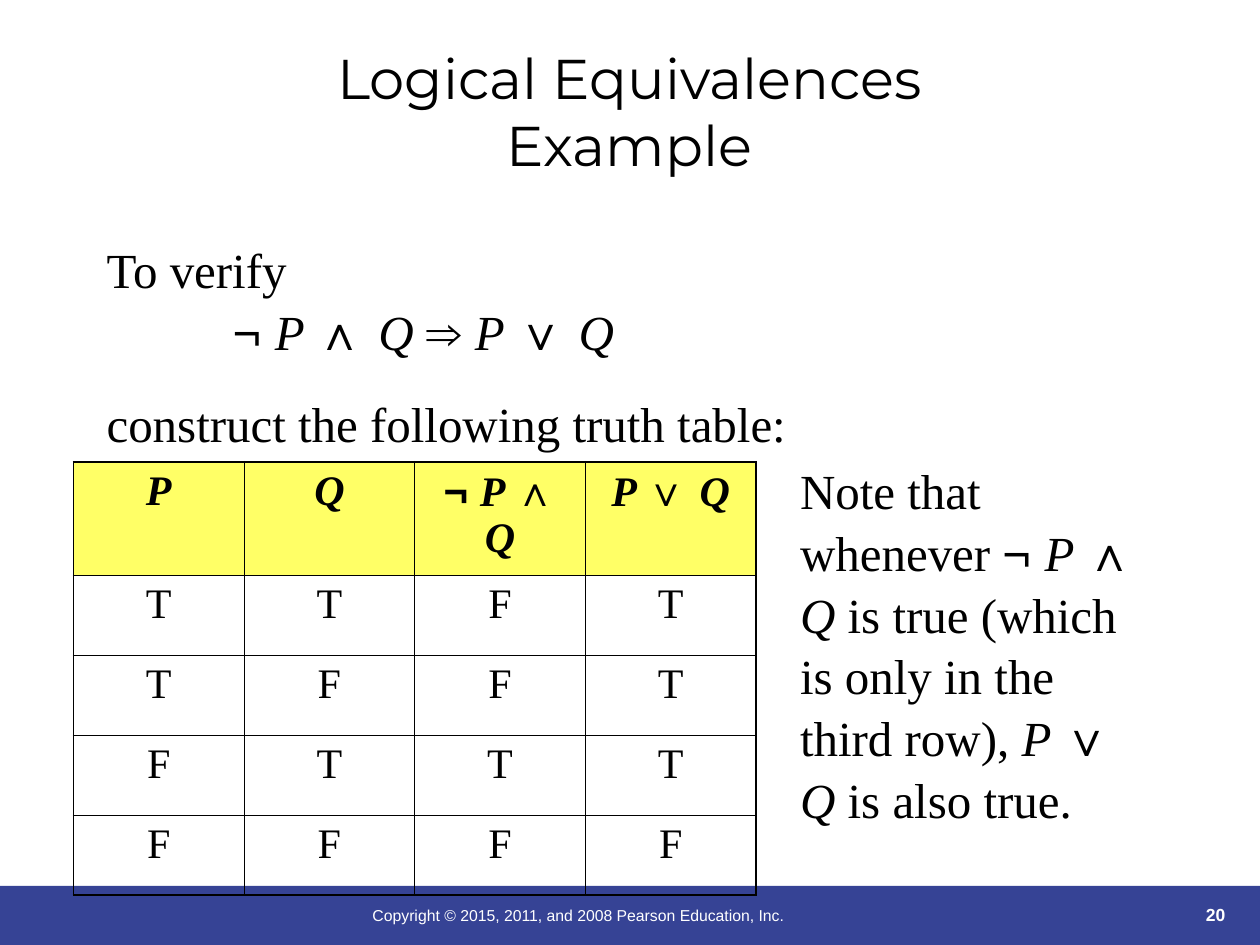
from itertools import product

from lxml.etree import SubElement
from pptx import Presentation
from pptx.dml.color import RGBColor
from pptx.enum.shapes import MSO_SHAPE
from pptx.enum.text import MSO_ANCHOR as ANCHOR, PP_ALIGN as ALIGN
from pptx.oxml.ns import qn
from pptx.util import Cm, Pt

COLORS = {"text": "000000", "band": "364395", "header": "FFFF66", "white": "FFFFFF"}
SERIF, SANS = "Times New Roman", "Arial"


def add_text_box(left, top, width, height, anchor=ANCHOR.TOP):
    box = slide.shapes.add_textbox(Cm(left), Cm(top), Cm(width), Cm(height))
    box.text_frame.word_wrap = True
    box.text_frame.vertical_anchor = anchor
    return box.text_frame


def write_logic(paragraph, text, size, bold=False):
    """Set operators in sans, variables in italic; a space stays with its run."""
    pieces = []
    for char in text:
        kind = "operator" if char in "¬∧∨⇒" else "variable" if char in "PQ" else "plain"
        if pieces and (char == " " or pieces[-1][0] == kind):
            pieces[-1][1] += char
        else:
            pieces.append([kind, char])
    for kind, piece in pieces:
        for number, line in enumerate(piece.split("\n")):
            if number:
                paragraph.add_line_break()
            run = paragraph.add_run()
            run.text = line
            run.font.name = SANS if kind == "operator" else SERIF
            run.font.size = Pt(size)
            run.font.bold = bold
            run.font.italic = kind == "variable"
            run.font.color.rgb = RGBColor.from_string(COLORS["text"])


presentation = Presentation()
presentation.slide_width, presentation.slide_height = Cm(25.4), Cm(19.05)
slide = presentation.slides.add_slide(presentation.slide_layouts[6])

# Footer band
band = slide.shapes.add_shape(MSO_SHAPE.RECTANGLE, 0, Cm(17.86), Cm(25.4), Cm(1.19))
band.shadow.inherit = False
band.fill.solid()
band.fill.fore_color.rgb = RGBColor.from_string(COLORS["band"])
band.line.fill.background()

# Slide number, copyright line and title
page_frame = add_text_box(22.61, 17.5, 2.34, 1.27, ANCHOR.BOTTOM)
copyright_frame = add_text_box(7.26, 18.14, 12.5, 1.27)
title_frame = add_text_box(1.9, 0.64, 21.59, 3.18, ANCHOR.MIDDLE)
for frame, text, align, font_name, size, bold, color in [
    (page_frame, "20", ALIGN.RIGHT, SANS, 10, True, "white"),
    (copyright_frame, "Copyright © 2015, 2011, and 2008 Pearson Education, Inc.",
     ALIGN.LEFT, SANS, 9, False, "white"),
    (title_frame, "Logical Equivalences\vExample", ALIGN.CENTER, "Montserrat", 32, False, "text"),
]:
    paragraph = frame.paragraphs[0]
    paragraph.text = text
    paragraph.alignment = align
    for run in paragraph.runs:
        run.font.name, run.font.size, run.font.bold = font_name, Pt(size), bold
        run.font.color.rgb = RGBColor.from_string(COLORS[color])

# Truth table
rows = [["P", "Q", "¬ P ∧ Q", "P ∨ Q"], "TTFT", "TFFT", "FTTT", "FFFF"]
row_count, column_count = len(rows), len(rows[0])
table = slide.shapes.add_table(
    row_count, column_count, Cm(1.48), Cm(9.31), Cm(13.76), Cm(8.05)).table
table.horz_banding = False
for row, column in product(range(row_count), range(column_count)):
    cell = table.cell(row, column)
    paragraph = cell.text_frame.paragraphs[0]
    paragraph.alignment = ALIGN.CENTER
    write_logic(paragraph, rows[row][column], 24, bold=row == 0)

    # Cell borders: heavier on the outer edge
    outer_edges = {"a:lnL": column == 0, "a:lnR": column == column_count - 1,
                   "a:lnT": row == 0, "a:lnB": row == row_count - 1}
    properties = cell._tc.get_or_add_tcPr()
    for tag, is_outer in outer_edges.items():
        border = SubElement(properties, qn(tag), w=str(Pt(1.08 if is_outer else 0.45)))
        fill = SubElement(border, qn("a:solidFill"))
        SubElement(fill, qn("a:srgbClr"), val=COLORS["text"])

    if row == 0:
        cell.fill.solid()
        cell.fill.fore_color.rgb = RGBColor.from_string(COLORS["header"])
    else:
        cell.fill.background()

# Statement above the table and note beside it
statement_frame = add_text_box(1.9, 4.65, 22.86, 4.45)
note_frame = add_text_box(15.88, 9.1, 7.62, 7.37)
for frame, texts in [
    (statement_frame, ["To verify\n\t\t¬ P ∧ Q ⇒ P ∨ Q", "construct the following truth table:"]),
    (note_frame, ["Note that whenever ¬ P ∧ Q is true (which is only in the third row), "
                  "P ∨ Q is also true."]),
]:
    for number, text in enumerate(texts):
        paragraph = frame.add_paragraph() if number else frame.paragraphs[0]
        paragraph.line_spacing = 1.05
        if number:
            paragraph.space_before = Pt(17.5)
        write_logic(paragraph, text, 28)

presentation.save("out.pptx")
